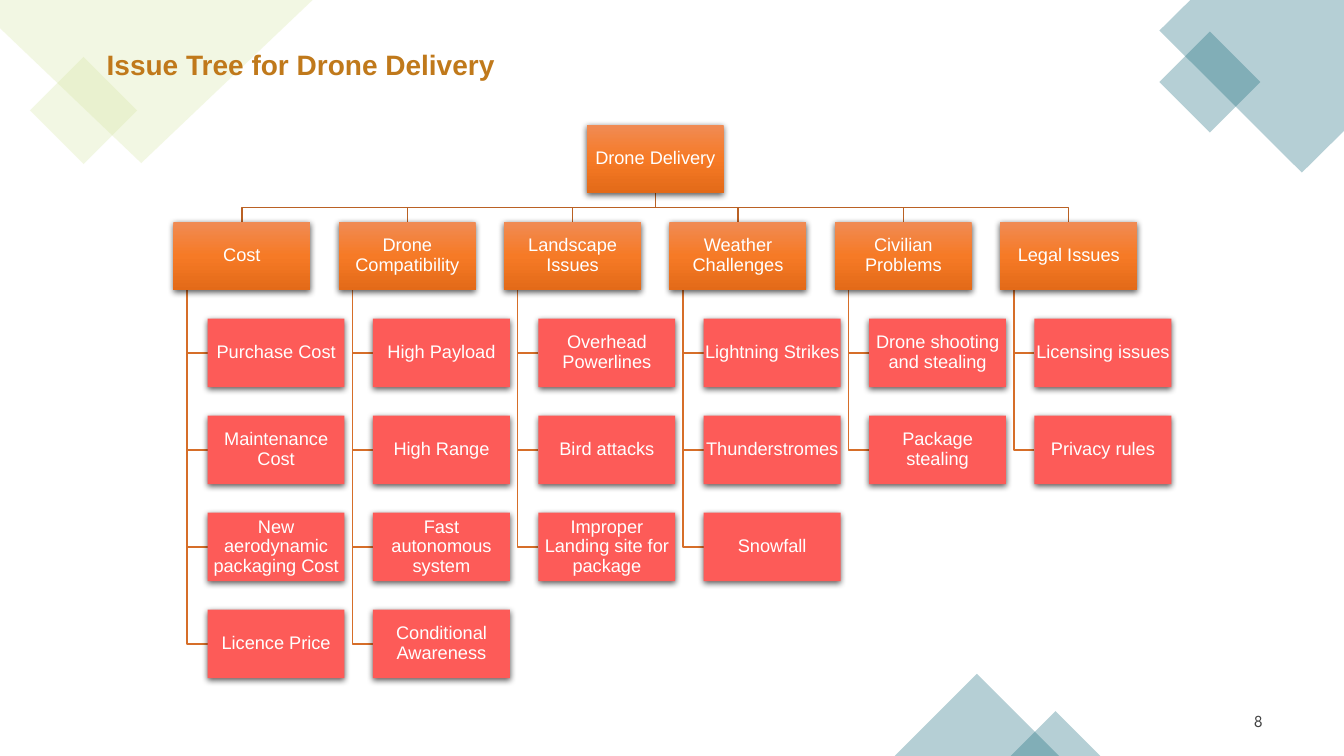
from copy import deepcopy

from pptx import Presentation
from pptx import util as u
from pptx.dml.color import RGBColor
from pptx.enum import shapes, text
from pptx.oxml import parse_xml
from pptx.oxml.ns import nsdecls, qn

LIME = RGBColor(0xD7, 0xE6, 0xA3)
TEAL = RGBColor(0x0B, 0x63, 0x74)
GOLD = RGBColor(0xC0, 0x79, 0x1B)
GRAY = RGBColor(0x42, 0x42, 0x42)
WHITE = RGBColor(0xFF, 0xFF, 0xFF)
CORAL = RGBColor(0xFD, 0x5B, 0x58)
RUST = RGBColor(0xBA, 0x61, 0x24)
AMBER = RGBColor(0xD6, 0x6E, 0x29)
BLEND = [(0, RGBColor(0xF0, 0x8B, 0x54)),
         (0.5, RGBColor(0xF6, 0x7A, 0x26)),
         (1, RGBColor(0xE3, 0x6A, 0x18))]

WIDE, HIGH = 33.87, 19.05  # slide size in cm
RECT = shapes.MSO_SHAPE.RECTANGLE
PEAK = shapes.MSO_SHAPE.ISOSCELES_TRIANGLE

ROOT = "Drone Delivery"
TREE = {
    "Cost": ["Purchase Cost", "Maintenance Cost",
             "New aerodynamic packaging Cost", "Licence Price"],
    "Drone Compatibility": ["High Payload", "High Range",
                            "Fast autonomous system", "Conditional Awareness"],
    "Landscape Issues": ["Overhead Powerlines", "Bird attacks",
                         "Improper Landing site for package"],
    "Weather Challenges": ["Lightning Strikes", "Thunderstromes", "Snowfall"],
    "Civilian Problems": ["Drone shooting and stealing", "Package stealing"],
    "Legal Issues": ["Licensing issues", "Privacy rules"],
}


def write(shape, words, size=13, font="Arial", color=WHITE, bold=False,
          align=text.PP_ALIGN.CENTER, anchor=text.MSO_ANCHOR.MIDDLE,
          pad=(0.25, 0.13), space=None):
    frame = shape.text_frame
    frame.word_wrap = True
    frame.vertical_anchor = anchor
    frame.margin_left = frame.margin_right = u.Cm(pad[0])
    frame.margin_top = frame.margin_bottom = u.Cm(pad[1])
    para = frame.paragraphs[0]
    para.alignment = align
    para.line_spacing = space
    run = para.add_run()
    run.text = words
    run.font.size = u.Pt(size)
    run.font.name = font
    run.font.bold = bold
    run.font.color.rgb = color


def label(slide, box, words, **style):
    write(slide.shapes.add_textbox(*map(u.Cm, box)), words, **style)


def block(slide, kind, box):
    shape = slide.shapes.add_shape(kind, *map(u.Cm, box))
    shape.shadow.inherit = False
    shape.line.fill.background()
    return shape


def outline(slide, points, close):
    first, *rest = [(u.Cm(x), u.Cm(y)) for x, y in points]
    pen = slide.shapes.build_freeform(*first)
    pen.add_line_segments(rest, close=close)
    shape = pen.convert_to_shape()
    shape.shadow.inherit = False
    return shape


def tint(shape, color):
    """Fill with a 30 % opaque colour and no line."""
    shape.fill.solid()
    shape.fill.fore_color.rgb = color
    shape.line.fill.background()
    tone = shape._element.spPr.find(".//" + qn("a:srgbClr"))
    tone.append(parse_xml(f'<a:alpha {nsdecls("a")} val="30000"/>'))


def link(slide, points, color):
    line = outline(slide, points, False)
    line.fill.background()
    line.line.color.rgb = color
    line.line.width = u.Pt(1)


def blend(shape):
    shape.fill.gradient()
    shape.fill.gradient_angle = 270
    marks = shape._element.spPr.find(".//" + qn("a:gsLst"))
    marks.insert(1, deepcopy(marks[0]))
    for stop, (place, color) in zip(shape.fill.gradient_stops, BLEND):
        stop.position = place
        stop.color.rgb = color


def node(slide, box, words, leaf=False):
    shape = block(slide, RECT, box)
    if leaf:
        shape.fill.solid()
        shape.fill.fore_color.rgb = CORAL
    else:
        blend(shape)
    shape._element.spPr.find(qn("a:effectLst")).append(parse_xml(
        f'<a:outerShdw {nsdecls("a")} blurRad="57150" dist="19050" '
        'dir="5400000" algn="ctr" rotWithShape="0"><a:srgbClr val="000000">'
        '<a:alpha val="63000"/></a:srgbClr></a:outerShdw>'))
    write(shape, words, pad=(0.03, 0.03), space=0.9)


def decor(slide, box):
    left, top, wide, high = box
    right, low = left + wide, top + high

    # Top left corner
    gem = block(slide, RECT, (left + 1.15, top + 1.83, 1.91, 1.91))
    gem.rotation = 45
    tint(gem, LIME)
    tint(outline(slide, [(left, top), (left + 7.88, top),
                         (left + 3.56, top + 4.11), (left, top + 0.71)],
                 True), LIME)

    # Top right corner
    tint(outline(slide, [(right - 3.87, top), (right, top),
                         (right, top + 3.3), (right - 1.06, top + 4.35),
                         (right - 4.65, top + 0.77)], True), TEAL)
    gem = block(slide, RECT, (right - 4.28, top + 1.17, 1.8, 1.8))
    gem.rotation = 45
    tint(gem, TEAL)

    # Bottom edge
    for x, base, tall in [(22.55, 4.14, 2.07), (25.47, 2.26, 1.13)]:
        tint(block(slide, PEAK, (left + x, low - tall, base, tall)), TEAL)


def tree(slide, box):
    left, top, wide, high = box
    cell, tall = 3.45, 1.73
    inset = cell / 4
    step = (wide - cell - inset) / (len(TREE) - 1)
    depth = max(map(len, TREE.values())) + 1
    drop = (high - tall) / depth
    mid = left + (step * (len(TREE) - 1) + cell) / 2
    head = top + drop
    fork = top + (tall + drop) / 2

    # Links lie behind the boxes
    for col, leaves in enumerate(TREE.values()):
        x = left + col * step
        hub, stem = x + cell / 2, x + cell / 10
        link(slide, [(mid, top + tall), (mid, fork), (hub, fork),
                     (hub, head)], RUST)
        for row in range(1, len(leaves) + 1):
            y = head + row * drop + tall / 2
            link(slide, [(stem, head + tall), (stem, y), (x + inset, y)],
                 AMBER)

    # Boxes
    node(slide, (mid - cell / 2, top, cell, tall), ROOT)
    for col, (name, leaves) in enumerate(TREE.items()):
        x = left + col * step
        node(slide, (x, head, cell, tall), name)
        for row, leaf in enumerate(leaves, 1):
            node(slide, (x + inset, head + row * drop, cell, tall), leaf, True)


def main():
    deck = Presentation()
    deck.slide_width, deck.slide_height = u.Cm(WIDE), u.Cm(HIGH)
    slide = deck.slides.add_slide(deck.slide_layouts[6])
    decor(slide, (0, 0, WIDE, HIGH))
    label(slide, (24.46, 17.65, 7.62, 1.02), "8", size=12,
          font="League Spartan", color=GRAY, align=text.PP_ALIGN.RIGHT)
    label(slide, (2.44, 1.07, 12.4, 1.12), "Issue Tree for Drone Delivery",
          size=20, color=GOLD, bold=True, align=text.PP_ALIGN.LEFT,
          anchor=text.MSO_ANCHOR.TOP)
    tree(slide, (4.37, 3.14, 25.15, 13.95))
    deck.save("out.pptx")


if __name__ == "__main__":
    main()
